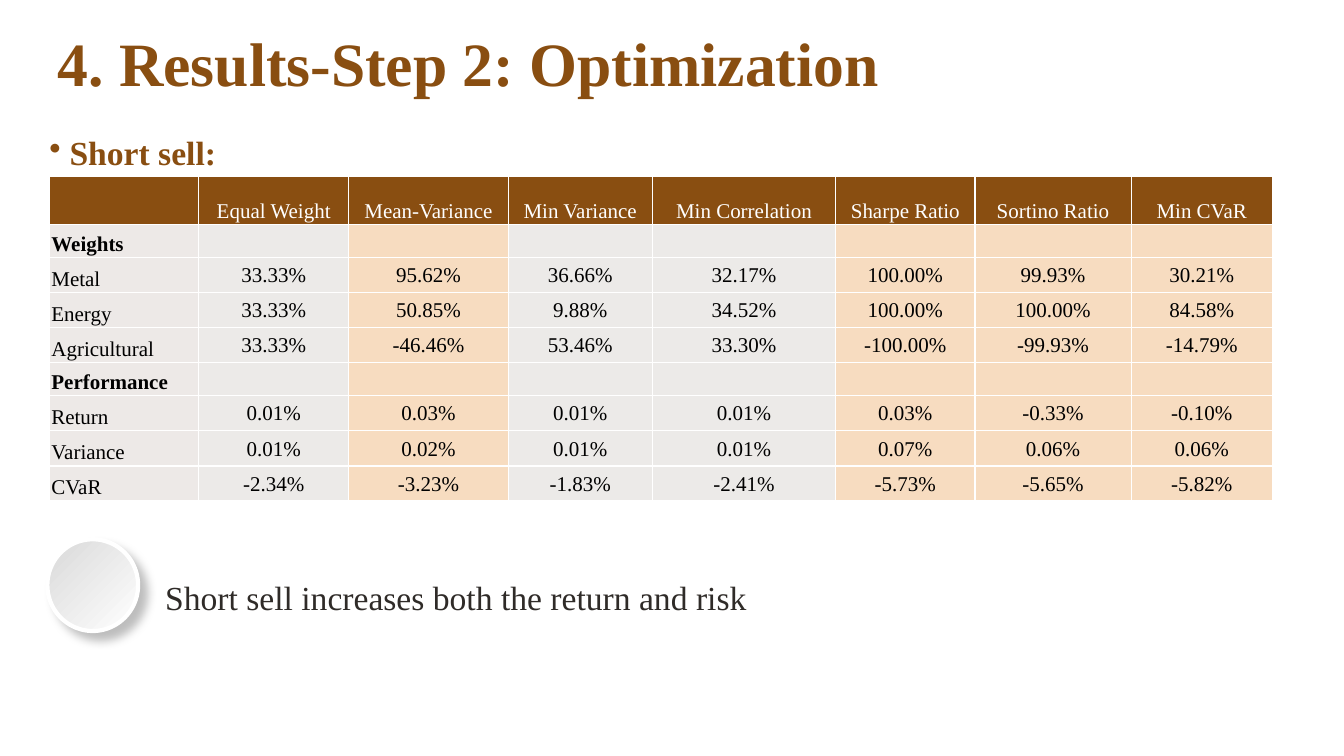
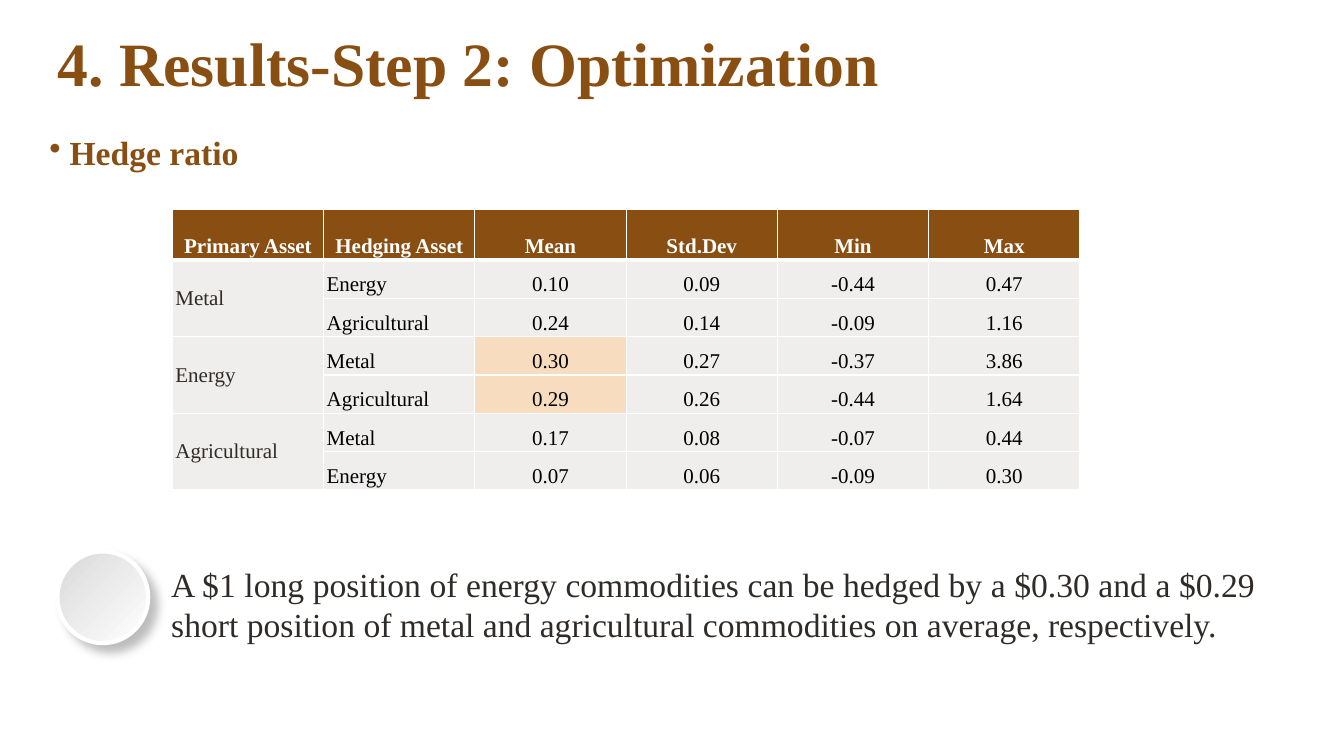
import pptx
import pptx.dml.color
import pptx.enum.shapes
import pptx.enum.text
import pptx.oxml
import pptx.oxml.ns
import pptx.util

Inches = pptx.util.Inches
Pt = pptx.util.Pt
ALIGN = pptx.enum.text.PP_ALIGN
ANCHOR = pptx.enum.text.MSO_ANCHOR
NS = pptx.oxml.ns.nsdecls("a")
FONT = "Times New Roman"
HEX = {
    "brown": "894E11", "ink": "2F2B28", "black": "000000", "white": "FFFFFF",
    "peach": "F7DCC0", "label": "EDE9E7", "cell": "ECEAE8", "pale": "EFEEEC",
    "gray": "D9D9D9",
}
RGB = {name: pptx.dml.color.RGBColor.from_string(code) for name, code in HEX.items()}


def write(frame, text, size, color, bold=False, align=ALIGN.LEFT, space=1.0, pads=None, bullet=False):
    """Put one styled paragraph in a frame; pads are left, top, right, bottom inches."""
    frame.word_wrap = True
    if pads:
        (frame.margin_left, frame.margin_top,
         frame.margin_right, frame.margin_bottom) = map(Inches, pads)
    para = frame.paragraphs[0]
    if text:
        para.add_run().text = text
    para.alignment, para.line_spacing = align, space
    if bullet:
        props = para._p.get_or_add_pPr()
        props.set("marL", str(Inches(0.22)))
        props.set("indent", str(Inches(-0.2)))
        for xml in (f'<a:buClr {NS}><a:srgbClr val="{HEX[color]}"/></a:buClr>',
                    f'<a:buChar {NS} char="•"/>'):
            props.append(pptx.oxml.parse_xml(xml))
    font = para.font
    font.name, font.size, font.bold = FONT, Pt(size), bold
    font.color.rgb = RGB[color]


def grid(slide, rows, left, top, widths, heights, rule):
    """Draw a table; rule(row, col) gives fill, colour, bold, align, anchor, pads, space."""
    table = slide.shapes.add_table(
        len(rows), len(widths), Inches(left), Inches(top),
        Inches(sum(widths)), Inches(sum(heights))).table
    table.first_row = table.horz_banding = False
    for col, width in zip(table.columns, widths):
        col.width = Inches(width)
    for row, height in zip(table.rows, heights):
        row.height = Inches(height)
    for r, texts in enumerate(rows):
        for c, text in enumerate(texts):
            cell = table.cell(r, c)
            fill, color, bold, align, anchor, pads, space = rule(r, c)
            for side in "LRTB":
                cell._tc.get_or_add_tcPr().append(pptx.oxml.parse_xml(
                    f'<a:ln{side} {NS} w="{Pt(1)}"><a:solidFill>'
                    f'<a:srgbClr val="{HEX["white"]}"/></a:solidFill></a:ln{side}>'))
            cell.fill.solid()
            cell.fill.fore_color.rgb = RGB[fill]
            cell.vertical_anchor = anchor
            write(cell.text_frame, text, 15, color, bold, align, space)
            (cell.margin_left, cell.margin_top,
             cell.margin_right, cell.margin_bottom) = map(Inches, pads)
    return table


deck = pptx.Presentation()
deck.slide_width, deck.slide_height = Inches(13.33), Inches(7.5)

pages = [
    ("Short sell:", (0.47, 5.35), (1.54, 5.67, 7.27, 0.5), ALIGN.LEFT,
     "Short sell increases both the return and risk"),
    ("Hedge ratio", (0.57, 5.47), (1.6, 5.54, 10.95, 0.91), ALIGN.JUSTIFY,
     "A $1 long position of energy commodities can be hedged by a $0.30 and a $0.29 "
     "short position of metal and agricultural commodities on average, respectively."),
]
slides = []
for topic, spot, area, align, note in pages:
    slide = deck.slides.add_slide(deck.slide_layouts[6])
    slides.append(slide)
    shapes = slide.shapes

    title = shapes.add_textbox(*map(Inches, (0.57, 0.24, 9.65, 1.06))).text_frame
    title.vertical_anchor = ANCHOR.BOTTOM
    write(title, "4. Results-Step 2: Optimization", 44, "brown", True,
          space=0.9, pads=(0, 0, 0, 0.31))

    body = shapes.add_textbox(*map(Inches, (0.47, 1.11, 7.19, 0.64))).text_frame
    write(body, topic, 24, "brown", True, ALIGN.JUSTIFY, 1.5, (0, 0, 0, 0), True)

    write(shapes.add_textbox(*map(Inches, area)).text_frame, note, 24, "ink", align=align)

    disc = shapes.add_shape(pptx.enum.shapes.MSO_SHAPE.OVAL,
                            *map(Inches, (*spot, 0.9, 0.91)))
    disc.fill.gradient()
    disc.fill.gradient_angle = 315
    for stop, name in zip(disc.fill.gradient_stops, ("gray", "white")):
        stop.color.rgb = RGB[name]
        stop.position = 0 if name == "gray" else 1
    disc.line.color.rgb = RGB["white"]
    disc.line.width = Pt(3)
    disc.shadow.inherit = False
    disc._element.spPr.find(pptx.oxml.ns.qn("a:effectLst")).append(pptx.oxml.parse_xml(
        f'<a:outerShdw {NS} blurRad="{Pt(7)}" dist="{Pt(8)}" dir="2700000" algn="tl" '
        f'rotWithShape="0"><a:srgbClr val="{HEX["black"]}"><a:alpha val="25000"/>'
        '</a:srgbClr></a:outerShdw>'))

sales = [
    ["", "Equal Weight", "Mean-Variance", "Min Variance", "Min Correlation",
     "Sharpe Ratio", "Sortino Ratio", "Min CVaR"],
    ["Weights"] + [""] * 7,
    ["Metal", "33.33%", "95.62%", "36.66%", "32.17%", "100.00%", "99.93%", "30.21%"],
    ["Energy", "33.33%", "50.85%", "9.88%", "34.52%", "100.00%", "100.00%", "84.58%"],
    ["Agricultural", "33.33%", "-46.46%", "53.46%", "33.30%", "-100.00%", "-99.93%", "-14.79%"],
    ["Performance"] + [""] * 7,
    ["Return", "0.01%", "0.03%", "0.01%", "0.01%", "0.03%", "-0.33%", "-0.10%"],
    ["Variance", "0.01%", "0.02%", "0.01%", "0.01%", "0.07%", "0.06%", "0.06%"],
    ["CVaR", "-2.34%", "-3.23%", "-1.83%", "-2.41%", "-5.73%", "-5.65%", "-5.82%"],
]


def sell(r, c):
    pads = (0.02,) * 4
    if r == 0:
        return "brown", "white", False, ALIGN.CENTER, ANCHOR.BOTTOM, pads, 1.15
    if c == 0:
        return "label", "black", r in (1, 5), ALIGN.LEFT, ANCHOR.BOTTOM, pads, 1.15
    fill = "peach" if c in (2, 5, 6, 7) else "cell"
    if r not in (1, 5):
        pads = (0.03,) * 4
    return fill, "black", False, ALIGN.CENTER, ANCHOR.TOP, pads, 1.15


grid(slides[0], sales, 0.49, 1.75, [1.48, 1.49, 1.58, 1.43, 1.82, 1.38, 1.55, 1.4],
     [0.48, 0.29] + [0.32] * 7, sell)

ratios = [
    ["Primary Asset", "Hedging Asset", "Mean", "Std.Dev", "Min", "Max"],
    ["Metal", "Energy", "0.10", "0.09", "-0.44", "0.47"],
    ["", "Agricultural", "0.24", "0.14", "-0.09", "1.16"],
    ["Energy", "Metal", "0.30", "0.27", "-0.37", "3.86"],
    ["", "Agricultural", "0.29", "0.26", "-0.44", "1.64"],
    ["Agricultural", "Metal", "0.17", "0.08", "-0.07", "0.44"],
    ["", "Energy", "0.07", "0.06", "-0.09", "0.30"],
]


def hedge(r, c):
    pads = (0.03, 0.02, 0.03, 0.02)
    if r == 0:
        return "brown", "white", True, ALIGN.CENTER, ANCHOR.BOTTOM, pads, 1.0
    if c == 0:
        return "pale", "ink", False, ALIGN.LEFT, ANCHOR.MIDDLE, pads, 1.0
    fill = "peach" if c == 2 and r in (3, 4) else "pale"
    align = ALIGN.LEFT if c == 1 else ALIGN.CENTER
    return fill, "black", False, align, ANCHOR.BOTTOM, pads, 1.0


table = grid(slides[1], ratios, 1.71, 2.08, [1.5] * 6, [0.5] + [0.38] * 6, hedge)
for r in (1, 3, 5):
    table.cell(r, 0).merge(table.cell(r + 1, 0))
for c in range(6):
    edge = table.cell(0, c)._tc.tcPr.find(pptx.oxml.ns.qn("a:lnB"))
    edge.set("w", str(Pt(3)))

deck.save("out.pptx")
